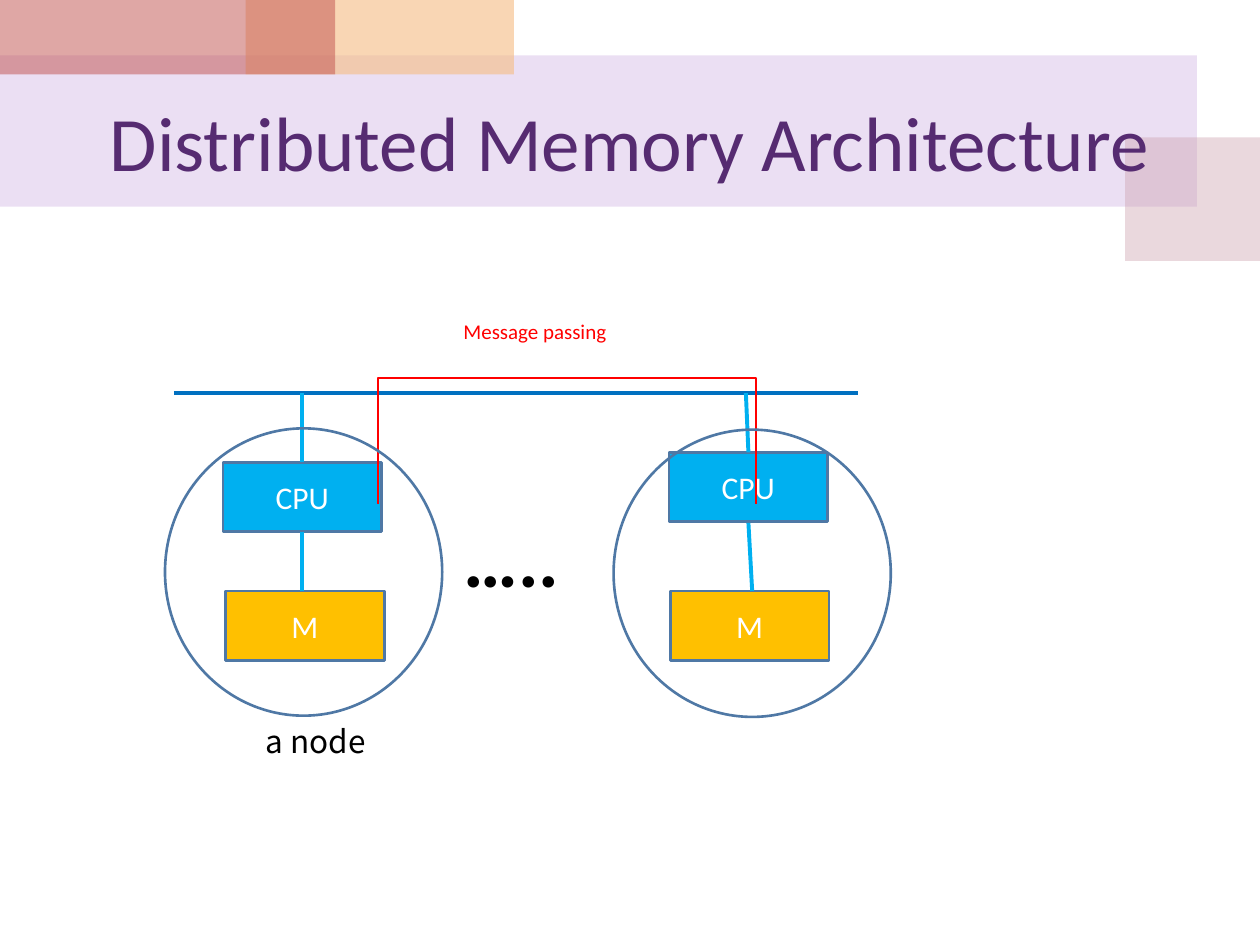
"""Build the distributed memory architecture slide."""
from lxml.etree import SubElement
from pptx import Presentation
from pptx.dml.color import RGBColor
from pptx.enum.shapes import MSO_CONNECTOR as Conn, MSO_SHAPE as Kind
from pptx.enum.text import MSO_ANCHOR as Anchor, PP_ALIGN as Align
from pptx.oxml.ns import qn
from pptx.util import Inches, Pt

rgb = RGBColor.from_string


def block(kind, box, fill=None, line=None, alpha=100):
    shape = deck.add_shape(kind, *map(Inches, box))
    shape.shadow.inherit = False
    if fill:
        shape.fill.solid()
        shape.fill.fore_color.rgb = rgb(fill)
        if alpha < 100:
            clr = shape.fill._xPr.find(".//" + qn("a:srgbClr"))
            SubElement(clr, qn("a:alpha"), val=str(alpha * 1000))
    else:
        shape.fill.background()
    if line:
        shape.line.color.rgb = rgb(line)
        shape.line.width = Pt(1.5)
    else:
        shape.line.fill.background()
    return shape


def write(shape, text, size, color, font="Calibri", bold=False, mid=False):
    frame = shape.text_frame
    frame.word_wrap = True
    frame.vertical_anchor = Anchor.MIDDLE if mid else Anchor.TOP
    para = frame.paragraphs[0]
    para.alignment = Align.CENTER if mid else Align.LEFT
    run = para.add_run()
    run.text = text
    run.font.size = Pt(size)
    run.font.name = font
    run.font.bold = bold
    run.font.color.rgb = rgb(color)


prs = Presentation()
prs.slide_width, prs.slide_height = Inches(10), Inches(7.5)
deck = prs.slides.add_slide(prs.slide_layouts[6]).shapes

for box, fill, alpha in [
    ((0, 0.44, 9.5, 1.2), "BF98D8", 30),
    ((8.93, 1.09, 1.07, 0.98), "CC9EAC", 40),
    ((1.95, 0, 2.13, 0.59), "F5BC83", 60),
    ((0, 0, 2.66, 0.59), "C0504D", 50),
]:
    block(Kind.RECTANGLE, box, fill, alpha=alpha)

title = deck.add_textbox(Inches(0.5), Inches(0.59), Inches(9), Inches(1.05))
write(title, "Distributed Memory Architecture", 44, "562B71", mid=True)

for text, left, top, fill in [
    ("CPU", 1.77, 3.67, "00B0F0"),
    ("M", 1.79, 4.69, "FFC000"),
    ("M", 5.32, 4.69, "FFC000"),
    ("CPU", 5.31, 3.59, "00B0F0"),
]:
    unit = block(Kind.RECTANGLE, (left, top, 1.26, 0.55), fill, "4F78A5")
    write(unit, text, 18, "FFFFFF", mid=True)

for ends, color in [
    ((1.38, 3.12, 6.81, 3.12), "0070C0"),
    ((2.4, 3.12, 2.4, 3.67), "00B0F0"),
    ((2.4, 4.22, 2.4, 4.69), "00B0F0"),
    ((5.92, 3.12, 5.94, 3.59), "00B0F0"),
    ((5.94, 4.15, 5.97, 4.69), "00B0F0"),
]:
    wire = deck.add_connector(Conn.STRAIGHT, *map(Inches, ends))
    wire.line.color.rgb = rgb(color)
    wire.line.width = Pt(2.25)
    SubElement(wire._element.spPr, qn("a:effectLst"))

start = (2.72, 3.78)
curves = [
    ((2.55, 3.41), (2.39, 3.05), (2.9, 2.9)),
    ((3.41, 2.75), (5.25, 2.75), (5.79, 2.89)),
    ((6.33, 3.03), (6.09, 3.6), (6.15, 3.73)),
    ((6.22, 3.86), (6.2, 3.71), (6.19, 3.69)),
    ((6.18, 3.66), (6.1, 3.6), (6.09, 3.59)),
    ((6.09, 3.58), (6.13, 3.62), (6.14, 3.62)),
    ((6.16, 3.62), (6.18, 3.61), (6.19, 3.6)),
]
steps = 16
dots = []
last = start
for one, two, end in curves:
    for step in range(1, steps + 1):
        t = step / steps
        u = 1 - t
        dots.append([
            u**3 * a + 3 * u * u * t * b + 3 * u * t * t * c + t**3 * d
            for a, b, c, d in zip(last, one, two, end)
        ])
    last = end
pen = deck.build_freeform(*start, scale=Inches(1))
pen.add_line_segments(dots, close=False)
arc = pen.convert_to_shape()
arc.shadow.inherit = False
arc.fill.background()
arc.line.color.rgb = rgb("FF0000")
arc.line.width = Pt(1.5)

for left, top in [(1.31, 3.4), (4.87, 3.41)]:
    block(Kind.OVAL, (left, top, 2.2, 2.28), line="4F78A5")

for text, box, size, color, font, bold in [
    ("Message passing", (3.58, 2.48, 1.74, 0.3), 12, "FF0000", "Calibri", False),
    ("a node", (2.01, 5.68, 1.1, 0.4), 18, "000000", "Noto Sans CJK KR", False),
    ("…..", (3.58, 4, 1.18, 0.84), 44, "000000", "Calibri", True),
]:
    label = deck.add_textbox(*map(Inches, box))
    write(label, text, size, color, font, bold)

prs.save("out.pptx")
